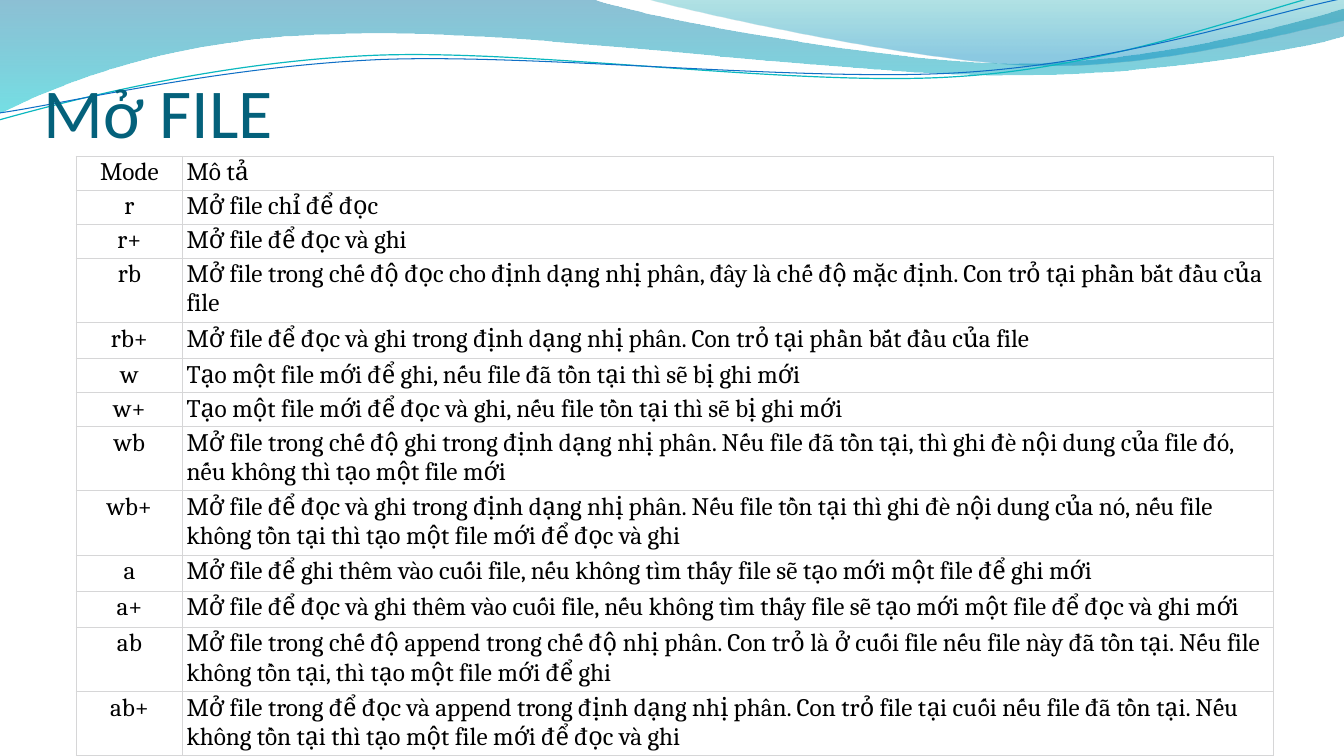
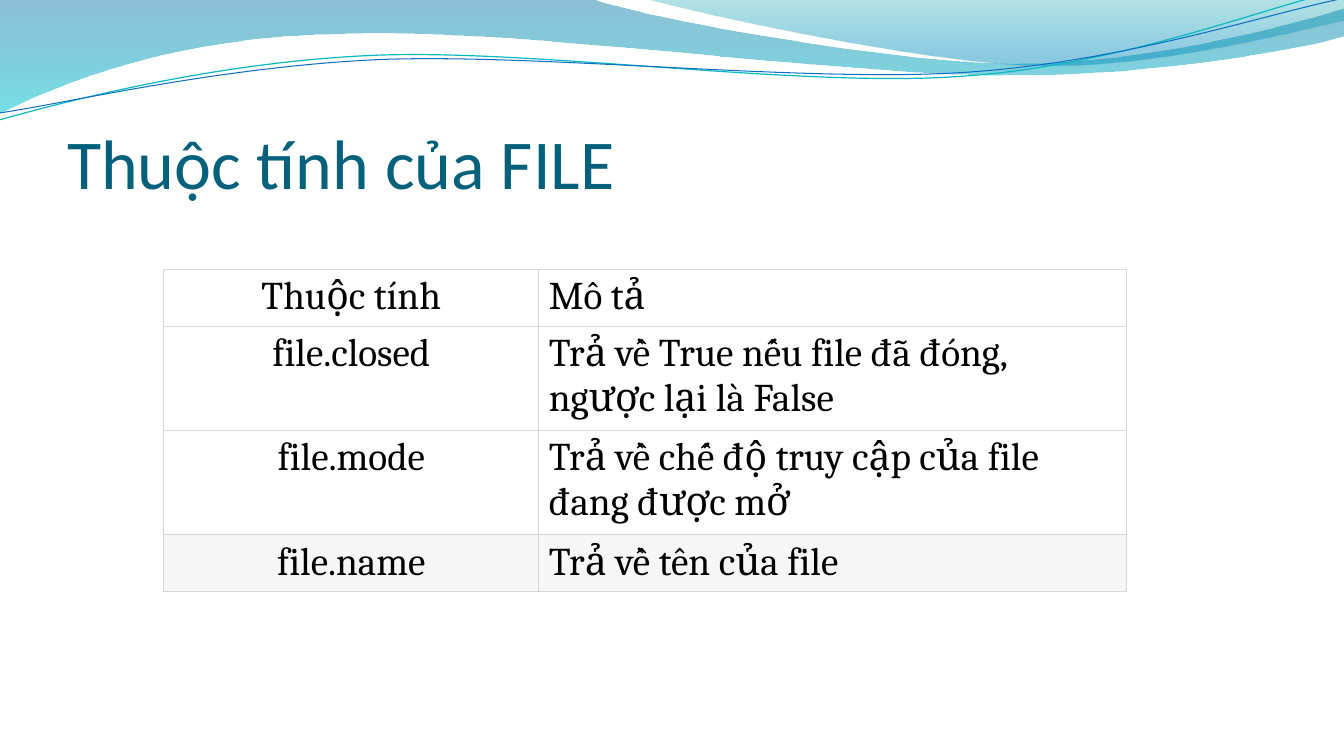
from lxml import etree
from pptx import Presentation
from pptx.dml.color import RGBColor
from pptx.enum.text import MSO_ANCHOR, PP_ALIGN
from pptx.oxml.ns import qn
from pptx.util import Pt

CENTER, LEFT = PP_ALIGN.CENTER, PP_ALIGN.LEFT
BOTTOM = MSO_ANCHOR.BOTTOM

COLORS = {
    "title": "04617B",
    "text": "000000",
    "border": "D6D6D7",
    "cell": "FFFFFF",
    "shaded cell": "F6F6F7",
    "wave blue": "0074A1",
    "wave cyan": "00C6CF",
    "crest teal": "00A1A9",
    "crest blue": "008BBF",
    "line teal": "0AB8BF",
    "line blue": "0F6FC6",
}
TITLE_FONT, BODY_FONT = "Calibri", "Cambria"
BLANK_LAYOUT = 6

# Outlines in points: a step of one point is a line, of three a curve
WAVE = [
    [(0, 0)],
    [(422.6, -0.7)],
    [(456.5, 12.2), (637.2, 45.4), (727.9, 45.4)],
    [(819.4, 45.4), (920.2, 18.7), (959.8, 6.5)],
    [(961.2, 25.9)],
    [(943.9, 31.7), (835.2, 54.7), (715.7, 54)],
    [(596.9, 54), (366.5, 20.2), (247, 24.5)],
    [(123.8, 25.9), (43.9, 59.8), (-0.7, 81.4)],
]
CREST = [
    [(460.1, -0.7)],
    [(488.9, 7.9), (654.5, 44.6), (738, 46.8)],
    [(821.5, 49.7), (923, 23), (959.8, 15.1)],
    [(959.8, 0)],
]
TEAL_LINE = [
    [(-0.7, 85.7)],
    [(46.1, 72.7), (151.9, 44.6), (265.7, 39.6)],
    [(379.4, 34.6), (568.8, 62.6), (684, 54.7)],
    [(799.2, 47.5), (901.4, 5.8), (958.3, -7.2)],
]
BLUE_LINE = [
    [(0, 80.6)],
    [(45.4, 74.2), (157, 47.5), (272.2, 42.5)],
    [(386.6, 38.2), (573.1, 59), (687.6, 51.8)],
    [(802.8, 44.6), (903.6, 10.1), (960.5, -1.4)],
]

# Table rows: height and cell texts
ONE_LINE, ROOMY_LINE, TWO_LINES = 23.3, 25.8, 44.3
MODE_ROWS = [
    (ONE_LINE, "Mode", "Mô tả"),
    (ONE_LINE, "r", "Mở file chỉ để đọc"),
    (ONE_LINE, "r+", "Mở file để đọc và ghi"),
    (TWO_LINES, "rb", "Mở file trong chế độ đọc cho định dạng nhị phân, đây là "
     "chế độ mặc định. Con trỏ tại phần bắt đầu của file"),
    (ROOMY_LINE, "rb+", "Mở file để đọc và ghi trong định dạng nhị phân. "
     "Con trỏ tại phần bắt đầu của file"),
    (ONE_LINE, "w", "Tạo một file mới để ghi, nếu file đã tồn tại thì sẽ bị ghi mới"),
    (ONE_LINE, "w+", "Tạo một file mới để đọc và ghi, nếu file tồn tại thì sẽ bị ghi mới"),
    (TWO_LINES, "wb", "Mở file trong chế độ ghi trong định dạng nhị phân. Nếu file đã "
     "tồn tại, thì ghi đè nội dung của file đó, nếu không thì tạo một file mới"),
    (TWO_LINES, "wb+", "Mở file để đọc và ghi trong định dạng nhị phân. Nếu file tồn tại "
     "thì ghi đè nội dung của nó, nếu file không tồn tại thì tạo một file mới để đọc và ghi"),
    (ROOMY_LINE, "a", "Mở file để ghi thêm vào cuối file, nếu không tìm thấy file "
     "sẽ tạo mới một file để ghi mới"),
    (ROOMY_LINE, "a+", "Mở file để đọc và ghi thêm vào cuối file, nếu không tìm thấy file "
     "sẽ tạo mới một file để đọc và ghi mới"),
    (TWO_LINES, "ab", "Mở file trong chế độ append trong chế độ nhị phân. Con trỏ là ở cuối "
     "file nếu file này đã tồn tại. Nếu file không tồn tại, thì tạo một file mới để ghi"),
    (TWO_LINES, "ab+", "Mở file trong để đọc và append trong định dạng nhị phân. Con trỏ file "
     "tại cuối nếu file đã tồn tại. Nếu không tồn tại thì tạo một file mới để đọc và ghi"),
]
ATTRIBUTE_ROWS = [
    (39.3, "Thuộc tính", "Mô tả"),
    (71.4, "file.closed", "Trả về True nếu file đã đóng, ngược lại là False"),
    (71.4, "file.mode", "Trả về chế độ truy cập của file đang được mở"),
    (39.3, "file.name", "Trả về tên của file"),
]


def color(name):
    return RGBColor.from_string(COLORS[name])


def style_paragraph(paragraph, font_name, size, color_name, alignment=LEFT):
    paragraph.alignment = alignment
    paragraph.font.name = font_name
    paragraph.font.size = Pt(size)
    paragraph.font.color.rgb = color(color_name)


def add_outline(slide, steps, close):
    """Draw a freeform, turning its three-point steps into Bézier curves."""
    points = [(Pt(x), Pt(y)) for step in steps for x, y in step]
    builder = slide.shapes.build_freeform(*points[0], scale=1.0)
    builder.add_line_segments(points[1:], close=close)
    shape = builder.convert_to_shape()
    shape.shadow.inherit = False
    segments = iter(list(shape.element.iter(qn("a:lnTo"))))
    for step in steps[1:]:
        parts = [next(segments) for _ in step]
        if len(parts) == 3:
            curve = etree.Element(qn("a:cubicBezTo"))
            parts[0].addprevious(curve)
            for part in parts:
                curve.append(part[0])
                part.getparent().remove(part)
    return shape


def add_gradient_band(slide, steps, stops):
    """Stops are (position, colour name, opacity in percent)."""
    shape = add_outline(slide, steps, close=True)
    shape.line.fill.background()
    shape.fill.gradient()
    shape.fill.gradient_angle = 270
    for gradient_stop, (position, name, _) in zip(shape.fill.gradient_stops, stops):
        gradient_stop.position = position
        gradient_stop.color.rgb = color(name)
    for element, (_, _, opacity) in zip(shape.element.iter(qn("a:srgbClr")), stops):
        etree.SubElement(element, qn("a:alpha"), val=str(opacity * 1000))
    return shape


def add_curved_line(slide, steps, color_name, width):
    shape = add_outline(slide, steps, close=False)
    shape.fill.background()
    shape.line.color.rgb = color(color_name)
    shape.line.width = Pt(width)
    return shape


def decorate_layout(layout, slide):
    """Build the waves on a slide and move them to the layout all slides share."""
    for placeholder in list(layout.placeholders):
        layout.shapes.element.remove(placeholder.element)
    waves = [
        add_gradient_band(slide, WAVE, [(0, "wave blue", 45), (1, "wave cyan", 55)]),
        add_gradient_band(slide, CREST, [(0, "crest teal", 30), (0.8, "crest blue", 45)]),
        add_curved_line(slide, TEAL_LINE, "line teal", 0.85),
        add_curved_line(slide, BLUE_LINE, "line blue", 0.75),
    ]
    for shape in waves:
        layout.shapes.element.append(shape.element)


def add_title(slide, text, left, top):
    box = slide.shapes.add_textbox(Pt(left), Pt(top), Pt(864), Pt(90))
    frame = box.text_frame
    frame.word_wrap = True
    frame.vertical_anchor = BOTTOM
    frame.margin_left = frame.margin_right = frame.margin_bottom = 0
    frame.margin_top = Pt(3.6)
    frame.text = text
    style_paragraph(frame.paragraphs[0], TITLE_FONT, 50, "title")


def add_cell_borders(cell_properties):
    for index, side in enumerate(("lnL", "lnR", "lnT", "lnB")):
        border = etree.Element(qn("a:" + side), w=str(Pt(0.75)))
        fill = etree.SubElement(border, qn("a:solidFill"))
        etree.SubElement(fill, qn("a:srgbClr"), val=COLORS["border"])
        cell_properties.insert(index, border)


def add_text_table(slide, rows, left, top, widths, size, margins, shaded_row=None):
    """Margins are (horizontal, vertical); the first column is centred."""
    frame = slide.shapes.add_table(
        len(rows), len(widths), Pt(left), Pt(top),
        Pt(sum(widths)), Pt(sum(row[0] for row in rows)))
    table = frame.table
    table.first_row = table.horz_banding = False
    for column, width in zip(table.columns, widths):
        column.width = Pt(width)
    for row_index, (height, *texts) in enumerate(rows):
        table.rows[row_index].height = Pt(height)
        for column_index, text in enumerate(texts):
            cell = table.cell(row_index, column_index)
            cell.margin_left = cell.margin_right = Pt(margins[0])
            cell.margin_top = cell.margin_bottom = Pt(margins[1])
            cell.fill.solid()
            cell.fill.fore_color.rgb = color(
                "shaded cell" if row_index == shaded_row else "cell")
            cell.text = text
            style_paragraph(cell.text_frame.paragraphs[0], BODY_FONT, size, "text",
                            LEFT if column_index else CENTER)
    for cell_properties in frame.element.iter(qn("a:tcPr")):
        add_cell_borders(cell_properties)


def main():
    presentation = Presentation()
    presentation.slide_width, presentation.slide_height = Pt(960), Pt(540)
    layout = presentation.slide_layouts[BLANK_LAYOUT]

    # File modes
    slide = presentation.slides.add_slide(layout)
    decorate_layout(layout, slide)
    add_title(slide, "Mở FILE", 31, 18.7)
    add_text_table(slide, MODE_ROWS, 54.3, 111.6, (76.3, 779), 18, (2.7, 1.35))

    # File attributes
    slide = presentation.slides.add_slide(layout)
    add_title(slide, "Thuộc tính của FILE", 48, 55.4)
    add_text_table(slide, ATTRIBUTE_ROWS, 117, 192.2, (267.8, 419.8), 28, (7.2, 3.6),
                   shaded_row=3)

    presentation.save("out.pptx")


main()
